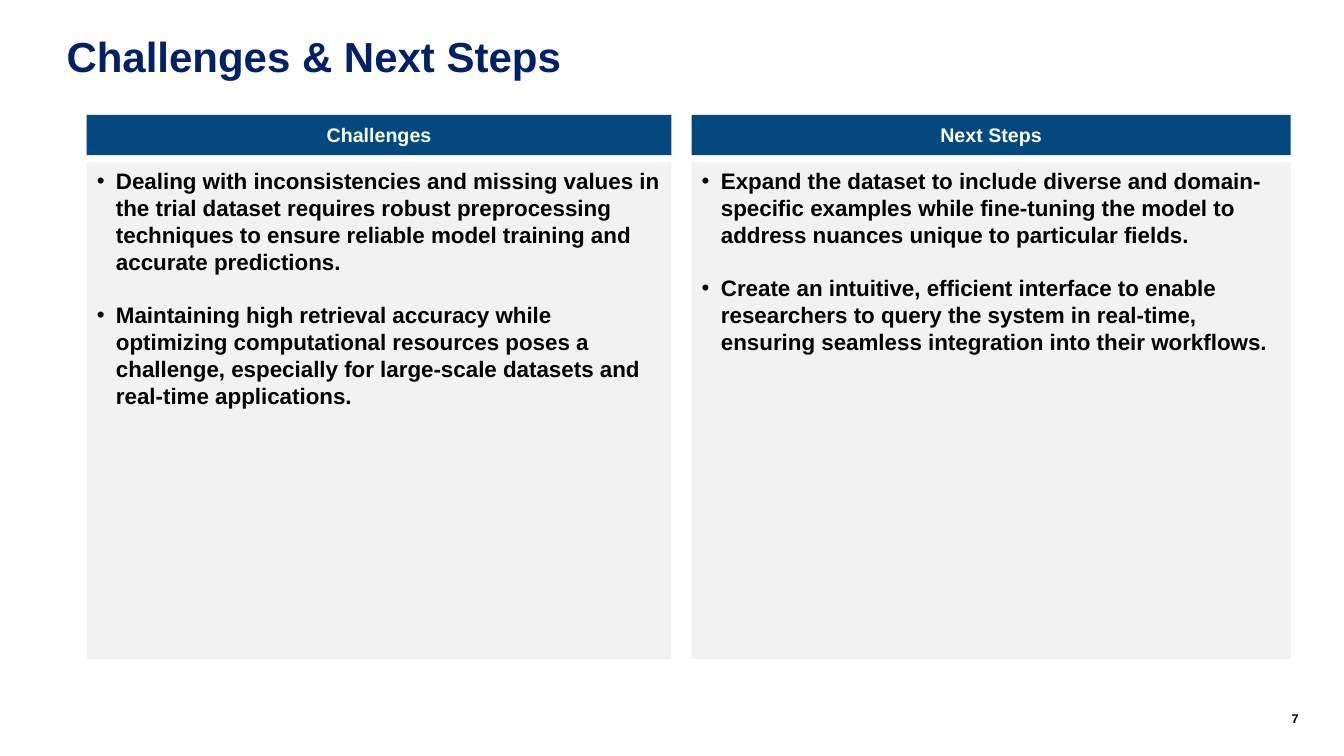
from pptx import Presentation
from pptx.dml.color import RGBColor
from pptx.enum.text import MSO_ANCHOR, MSO_AUTO_SIZE, PP_ALIGN
from pptx.oxml import parse_xml
from pptx.oxml.ns import nsdecls
from pptx.util import Inches, Pt

NAVY = RGBColor(0x00, 0x20, 0x68)
BLUE = RGBColor(0x03, 0x48, 0x7F)
GRAY = RGBColor(0xF2, 0xF2, 0xF2)
WHITE = RGBColor(0xFF, 0xFF, 0xFF)
BLACK = RGBColor(0x00, 0x00, 0x00)

COLUMNS = [
    (0.86, 5.8, "Challenges", [
        "Dealing with inconsistencies and missing values in the trial dataset requires "
        "robust preprocessing techniques to ensure reliable model training and accurate "
        "predictions.",
        "Maintaining high retrieval accuracy while optimizing computational resources "
        "poses a challenge, especially for large-scale datasets and real-time applications.",
    ]),
    (6.86, 5.94, "Next Steps", [
        "Expand the dataset to include diverse and domain-specific examples while "
        "fine-tuning the model to address nuances unique to particular fields.",
        "Create an intuitive, efficient interface to enable researchers to query the "
        "system in real-time, ensuring seamless integration into their workflows.",
    ]),
]


class SlideBuilder:
    font_name = "Arial"
    bullet_indent = Inches(0.19)
    bullet_gap = Pt(19)

    def __init__(self, slide):
        self.slide = slide

    def place(self, holder, left, top, width, height, fill=None):
        holder.left, holder.top = Inches(left), Inches(top)
        holder.width, holder.height = Inches(width), Inches(height)
        if fill is not None:
            holder.fill.solid()
            holder.fill.fore_color.rgb = fill

    def frame(self, holder, anchor=MSO_ANCHOR.TOP, inset=None):
        frame = holder.text_frame
        frame.word_wrap = True
        frame.auto_size = MSO_AUTO_SIZE.NONE
        frame.vertical_anchor = anchor
        if inset is not None:
            frame.margin_left = frame.margin_right = Inches(inset)
            frame.margin_top = frame.margin_bottom = Inches(inset)
        return frame

    def add_text(self, paragraph, text, size, color, align=PP_ALIGN.LEFT, before=Pt(0)):
        paragraph.alignment = align
        paragraph.space_before = before
        run = paragraph.add_run()
        run.text = text
        run.font.name = self.font_name
        run.font.size = Pt(size)
        run.font.bold = True
        run.font.color.rgb = color

    def title(self, text):
        title = self.slide.shapes.title
        self.place(title, 0.66, 0.34, 9.62, 0.51)
        heading = self.frame(title, inset=0).paragraphs[0]
        heading.line_spacing = 0.95
        self.add_text(heading, text, 30, NAVY)

    def header(self, index, left, width, text):
        header = self.slide.placeholders[index]
        self.place(header, left, 1.14, width, 0.4, BLUE)
        frame = self.frame(header, MSO_ANCHOR.MIDDLE)
        self.add_text(frame.paragraphs[0], text, 14, WHITE, PP_ALIGN.CENTER)

    def bullets(self, index, left, width, items):
        panel = self.slide.placeholders[index]
        self.place(panel, left, 1.61, width, 4.93, GRAY)
        frame = self.frame(panel)
        for number, item in enumerate(items):
            paragraph = frame.add_paragraph() if number else frame.paragraphs[0]
            properties = paragraph._p.get_or_add_pPr()
            properties.set("marL", str(self.bullet_indent))
            properties.set("indent", str(-self.bullet_indent))
            properties.append(parse_xml(f'<a:buFont {nsdecls("a")} typeface="Arial"/>'))
            properties.append(parse_xml(f'<a:buChar {nsdecls("a")} char="•"/>'))
            before = self.bullet_gap if number else Pt(0)
            self.add_text(paragraph, item, 16, BLACK, before=before)

    def page_number(self, text):
        number = self.slide.shapes.add_textbox(
            Inches(12.37), Inches(7.05), Inches(0.51), Inches(0.2))
        frame = self.frame(number, inset=0)
        self.add_text(frame.paragraphs[0], text, 9, BLACK, PP_ALIGN.RIGHT)


def main():
    presentation = Presentation()
    presentation.slide_width = Inches(13.33)
    presentation.slide_height = Inches(7.5)
    comparison = presentation.slide_layouts.get_by_name("Comparison")
    builder = SlideBuilder(presentation.slides.add_slide(comparison))
    builder.title("Challenges & Next Steps")
    for column, (left, width, heading, items) in enumerate(COLUMNS):
        builder.header(2 * column + 1, left, width, heading)
        builder.bullets(2 * column + 2, left, width, items)
    builder.page_number("7")
    presentation.save("out.pptx")


if __name__ == "__main__":
    main()
